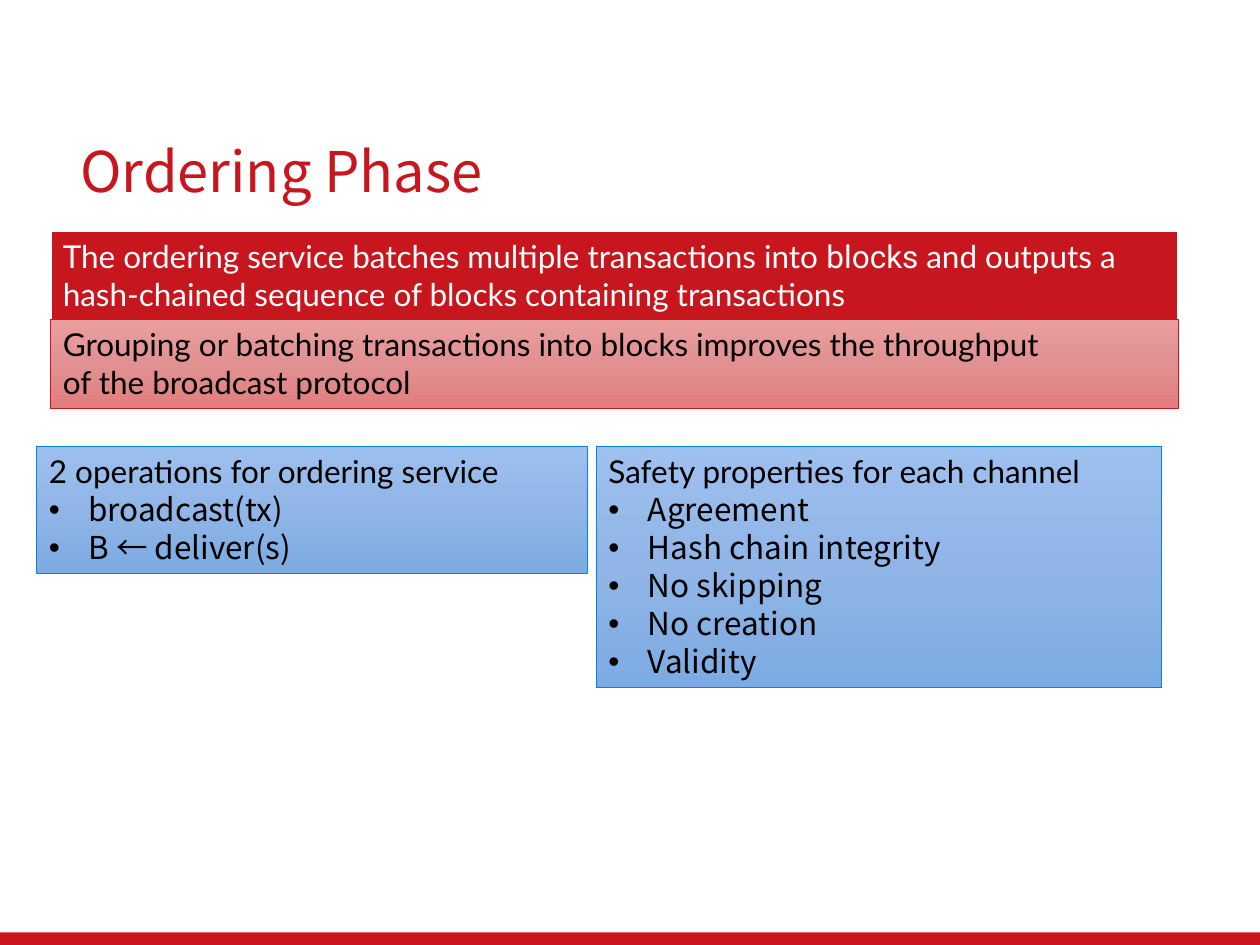
from copy import deepcopy
from lxml.etree import SubElement
from pptx import Presentation
from pptx.dml.color import RGBColor
from pptx.enum.shapes import MSO_SHAPE
from pptx.enum.text import MSO_ANCHOR, PP_ALIGN
from pptx.oxml.ns import qn
from pptx.util import Pt

RED, WHITE, BLACK, BLUE = "C8161E", "FFFFFF", "000000", "0086D1"
PINK_FADE = ["EB9E9E", "E19191", "E27C7D"]
BLUE_FADE = ["9DC0EF", "90B5E6", "7CABE3"]
BODY, CJK = "Lato", "Noto Sans CJK SC"


def color(value):
    return RGBColor.from_string(value)


def add_span(para, text, font, size, ink):
    span = para.add_run()
    span.text = text
    span.font.color.rgb = color(ink)
    for name, value in {"name": font, "size": Pt(size)}.items():
        setattr(span.font, name, value)
    if font == CJK:
        SubElement(span.font._element, qn("a:ea"), typeface=font)


deck = Presentation()
deck.slide_width, deck.slide_height = Pt(720), Pt(540)
page = deck.slides.add_slide(deck.slide_layouts[6])

footer = page.shapes.add_shape(MSO_SHAPE.RECTANGLE, Pt(0), Pt(532.8), Pt(720), Pt(7.2))
footer.shadow.inherit = False
footer.fill.solid()
footer.fill.fore_color.rgb = color("C9151E")
footer.line.fill.background()

title = page.shapes.add_textbox(Pt(38.9), Pt(77), Pt(659.5), Pt(45.4))
for name, value in {"word_wrap": True, "vertical_anchor": MSO_ANCHOR.MIDDLE}.items():
    setattr(title.text_frame, name, value)
heading = title.text_frame.paragraphs[0]
heading.line_spacing = 0.9
add_span(heading, "Ordering Phase", CJK, 32, RED)

panels = [
    ((28.8, 131.8, 644.4, 51), [RED], WHITE, 1.5, WHITE,
     [[("The ordering service batches multiple transactions into ", BODY),
       ("blocks ", "Roboto"),
       ("and outputs a hash-chained sequence of blocks containing transactions", BODY)]], []),
    ((28.8, 182.4, 644.4, 51), PINK_FADE, RED, 0.5, BLACK,
     [[("Grouping or batching transactions into blocks improves the throughput", BODY)],
      [("of the broadcast protocol", BODY)]], []),
    ((20.9, 255, 314.6, 72.7), BLUE_FADE, BLUE, 0.5, BLACK,
     [[("2 operations for ordering service", BODY)]],
     ["broadcast(tx)", "B ← deliver(s)"]),
    ((340.6, 255, 323.3, 138), BLUE_FADE, BLUE, 0.5, BLACK,
     [[("Safety properties for each channel", BODY)]],
     ["Agreement", "Hash chain integrity", "No skipping", "No creation", "Validity"]),
]

for bounds, fills, edge, weight, ink, lines, bullets in panels:
    box = page.shapes.add_shape(MSO_SHAPE.RECTANGLE, *map(Pt, bounds))
    box.shadow.inherit = False
    box.line.color.rgb = color(edge)
    box.line.width = Pt(weight)
    if len(fills) == 1:
        box.fill.solid()
        box.fill.fore_color.rgb = color(fills[0])
    else:
        box.fill.gradient()
        box.fill.gradient_angle = 270
        stop_list = next(box._element.iter(qn("a:gsLst")))
        stop_list.insert(1, deepcopy(stop_list[0]))
        for index, stop in enumerate(box.fill.gradient_stops):
            stop.position = index / 2
            stop.color.rgb = color(fills[index])

    frame = box.text_frame
    for name, value in {"word_wrap": True, "vertical_anchor": MSO_ANCHOR.TOP}.items():
        setattr(frame, name, value)
    rows = lines + [[(item, CJK)] for item in bullets]
    for index, row in enumerate(rows):
        para = frame.add_paragraph() if index else frame.paragraphs[0]
        para.alignment = PP_ALIGN.LEFT
        for text, font in row:
            add_span(para, text, font, 18, ink)
        if index >= len(lines):
            para.line_spacing = Pt(21.7)
            layout = para._element.get_or_add_pPr()
            for name, value in {"marL": Pt(22.5), "indent": Pt(-22.5)}.items():
                layout.set(name, str(int(value)))
            SubElement(layout, qn("a:buFont"), typeface="Arial")
            SubElement(layout, qn("a:buChar"), char="•")

deck.save("out.pptx")
